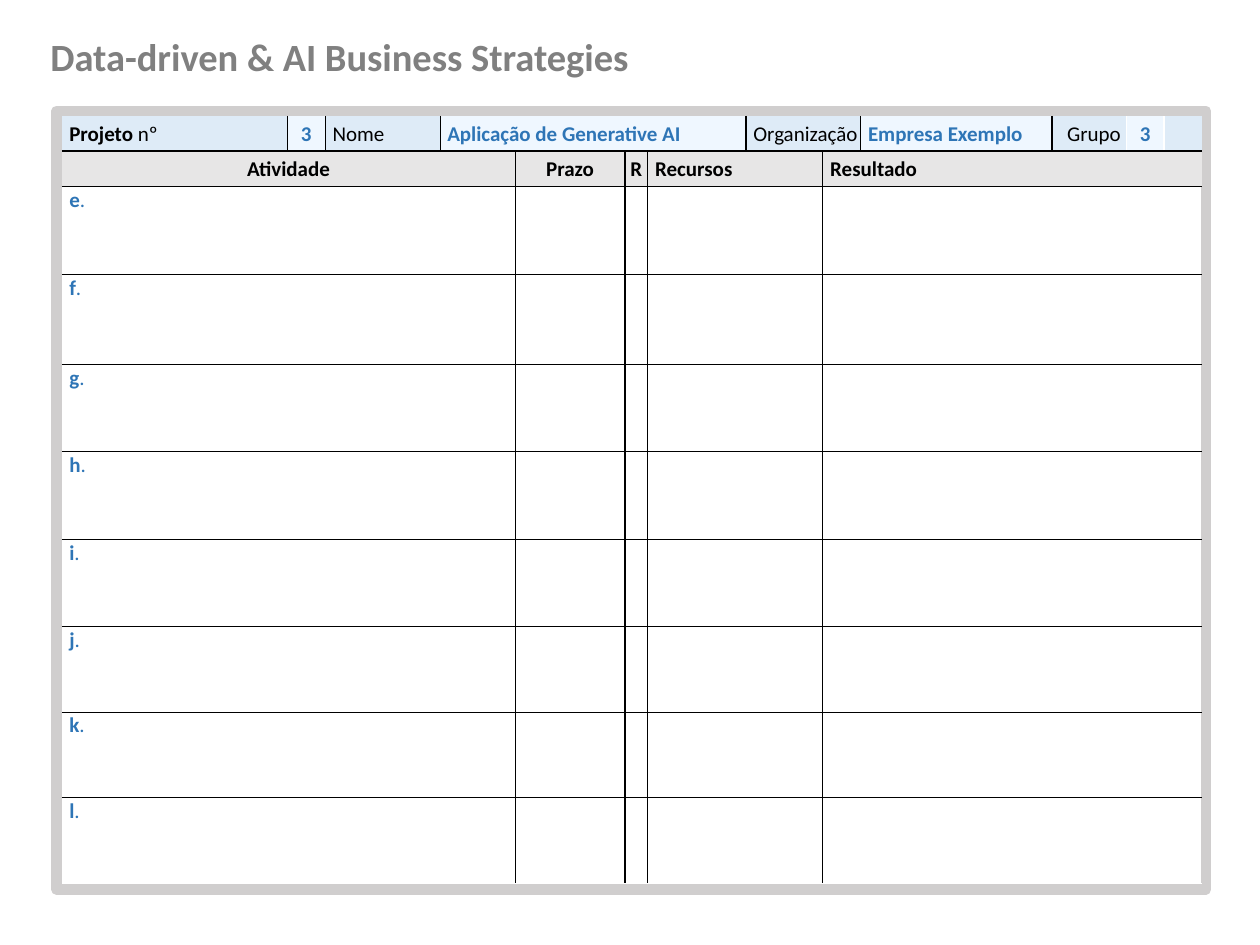
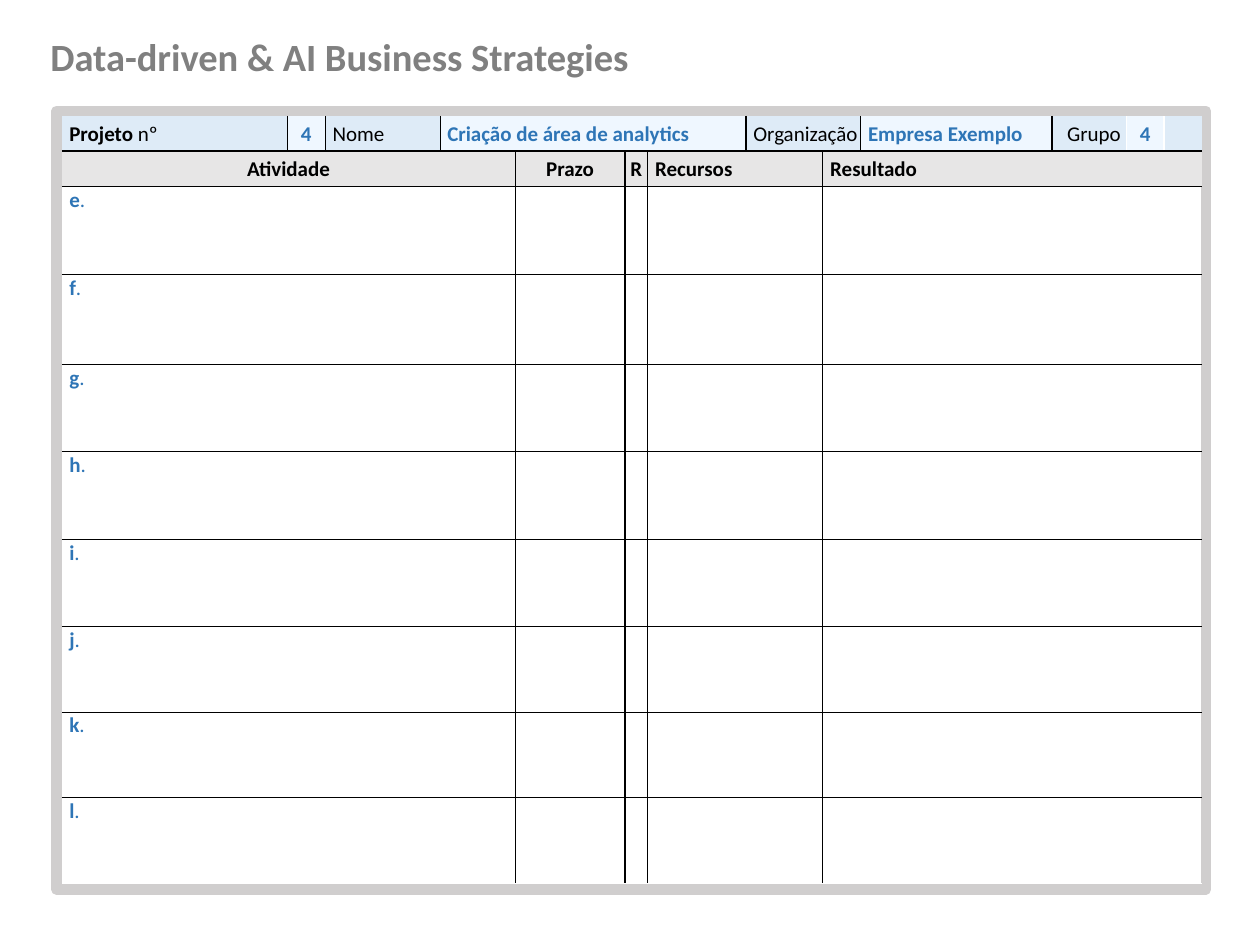
from dataclasses import dataclass
from lxml.etree import SubElement
from pptx import Presentation
from pptx.dml.color import RGBColor
from pptx.enum.shapes import MSO_SHAPE
from pptx.enum.text import MSO_ANCHOR, MSO_AUTO_SIZE, PP_ALIGN
from pptx.oxml import parse_xml
from pptx.oxml.ns import nsdecls, qn
from pptx.util import Inches, Pt

# Shared look
FONT = "Calibri"
BLACK, WHITE, GREY = "000000", "FFFFFF", "808080"
BLUE, SKY, ICE = "2E75B6", "DEEBF7", "EFF7FF"
SILVER, FRAME = "E7E6E6", "D0CECE"
LEFT, MID = PP_ALIGN.LEFT, PP_ALIGN.CENTER

# Cell borders: colour and width in points
NONE = None
THIN, THICK = (BLACK, 0.25), (BLACK, 1)
GAP, END = (WHITE, 1), (WHITE, 0.25)

# Grid of the project table
COLS = [1.79, 0.3, 0.91, 0.6, 0.87, 0.18, 0.78, 0.61, 0.3, 1.52, 0.59, 0.3, 0.3]
ROWS = [0.28, 0.28, 0.7, 0.71, 0.69, 0.7, 0.69, 0.68, 0.68, 0.68]
LEVELS = [NONE, THICK] + [THIN] * 8 + [END]
TOP_EDGES = [NONE, THIN, THIN, THIN, THICK, THIN, THICK, GAP, GAP, NONE]
EDGES = [NONE] + [THICK] * 4 + [NONE]
SPANS = [4, 1, 1, 2, 5]
HEADS = ["Atividade", "Prazo", "R", "Recursos", "Resultado"]
STEPS = "efghijkl"

TITLE = "Data-driven & AI Business Strategies"
FIRM = "Empresa Exemplo"
PLANS = [("3", "Aplicação de Generative AI"), ("4", "Criação de área de analytics")]


@dataclass
class Cell:
    bits: tuple = ()  # pairs of text and bold
    span: int = 1
    fill: str = ""
    ink: str = BLACK
    align: PP_ALIGN = LEFT
    pad: float = 0.05
    anchor: MSO_ANCHOR = MSO_ANCHOR.MIDDLE


def rgb(code):
    return RGBColor.from_string(code)


def style(run, size, ink, bold):
    font = run.font
    font.name, font.size, font.bold = FONT, Pt(size), bold
    font.color.rgb = rgb(ink)


def label(text, span=1, pad=0.05):
    return Cell(((text, False),), span, SKY, pad=pad)


def value(text, span=1, align=LEFT):
    pad = 0 if align == MID else 0.05
    return Cell(((text, True),), span, ICE, BLUE, align, pad)


def top_row(num, name):
    return [
        Cell((("Projeto ", True), ("nº", False)), fill=SKY),
        value(num, align=MID),
        label("Nome"),
        value(name, 4),
        label("Organização", 2),
        value(FIRM),
        label("Grupo", pad=0.11),
        value(num, align=MID),
        Cell(fill=SKY),
    ]


def head_row():
    cells = []
    for i, (text, span) in enumerate(zip(HEADS, SPANS)):
        align, pad = (MID, 0) if i < 3 else (LEFT, 0.05)
        cells.append(Cell(((text, True),), span, SILVER, align=align, pad=pad))
    return cells


def step_row(mark):
    first = Cell(((mark, True), (".", False)), SPANS[0], ink=BLUE,
                 anchor=MSO_ANCHOR.TOP)
    return [first] + [Cell(span=span) for span in SPANS[1:]]


def border(cell, sides):
    """Draw the left, right, top and bottom lines of a cell."""
    props = cell._tc.get_or_add_tcPr()
    for i, (side, edge) in enumerate(zip("LRTB", sides)):
        if edge:
            ink, wide = edge
            paint = f'<a:solidFill><a:srgbClr val="{ink}"/></a:solidFill>'
        else:
            wide, paint = 0, "<a:noFill/>"
        line = f'<a:ln{side} {nsdecls("a")} w="{Pt(wide)}">{paint}</a:ln{side}>'
        props.insert(i, parse_xml(line))


def fill_cell(cell, data):
    cell.margin_left = Inches(0.01 + data.pad)
    cell.margin_right = cell.margin_top = Inches(0.01)
    cell.margin_bottom = 0
    cell.vertical_anchor = data.anchor
    if data.fill:
        cell.fill.solid()
        cell.fill.fore_color.rgb = rgb(data.fill)
    else:
        cell.fill.background()
    para = cell.text_frame.paragraphs[0]
    para.alignment = data.align
    for text, bold in data.bits:
        run = para.add_run()
        run.text = text
        style(run, 12, data.ink, bold)
    if not data.bits:  # keeps empty rows from growing
        SubElement(para._p, qn("a:endParaRPr")).set("sz", "1200")


def add_title(slide, x, y, w, h):
    title = slide.shapes.title
    title.left, title.top, title.width, title.height = map(Inches, (x, y, w, h))
    frame = title.text_frame
    frame.text = TITLE
    frame.auto_size = MSO_AUTO_SIZE.NONE
    frame.vertical_anchor = MSO_ANCHOR.TOP
    para = frame.paragraphs[0]
    para.alignment = LEFT
    para.space_after = Pt(2)
    style(para.runs[0], 22, GREY, True)


def add_frame(slide, x, y, w, h):
    box = slide.shapes.add_shape(MSO_SHAPE.RECTANGLE, *map(Inches, (x, y, w, h)))
    box.shadow.inherit = False
    box.fill.background()
    box.line.color.rgb = rgb(FRAME)
    box.line.width = Pt(6)


def add_plan(slide, x, y, w, h, num, name):
    rows = [top_row(num, name), head_row()] + [step_row(mark) for mark in STEPS]
    table = slide.shapes.add_table(
        len(ROWS), len(COLS), *map(Inches, (x, y, w, h))).table
    table.first_row = table.horz_banding = False
    for col, wide in zip(table.columns, COLS):
        col.width = Inches(wide)
    for row, high in zip(table.rows, ROWS):
        row.height = Inches(high)
    for r, cells in enumerate(rows):
        edges = EDGES if r else TOP_EDGES
        c = 0
        for i, data in enumerate(cells):
            end = c + data.span
            sides = edges[i], edges[i + 1], LEVELS[r], LEVELS[r + 1]
            for k in range(c, end):
                cell = table.cell(r, k)
                fill_cell(cell, data if k == c else Cell(fill=data.fill))
                border(cell, sides)
            if data.span > 1:
                table.cell(r, c).merge(table.cell(r, end - 1))
            c = end


def add_page(deck, num, name):
    slide = deck.slides.add_slide(deck.slide_layouts[5])
    add_frame(slide, 0.45, 0.88, 9.12, 6.18)
    add_title(slide, 0.3, 0.21, 4.98, 0.47)
    add_plan(slide, 0.49, 0.92, sum(COLS), sum(ROWS), num, name)


deck = Presentation()
deck.slide_width, deck.slide_height = Inches(10), Inches(7.5)
for num, name in PLANS:
    add_page(deck, num, name)
deck.save("out.pptx")
